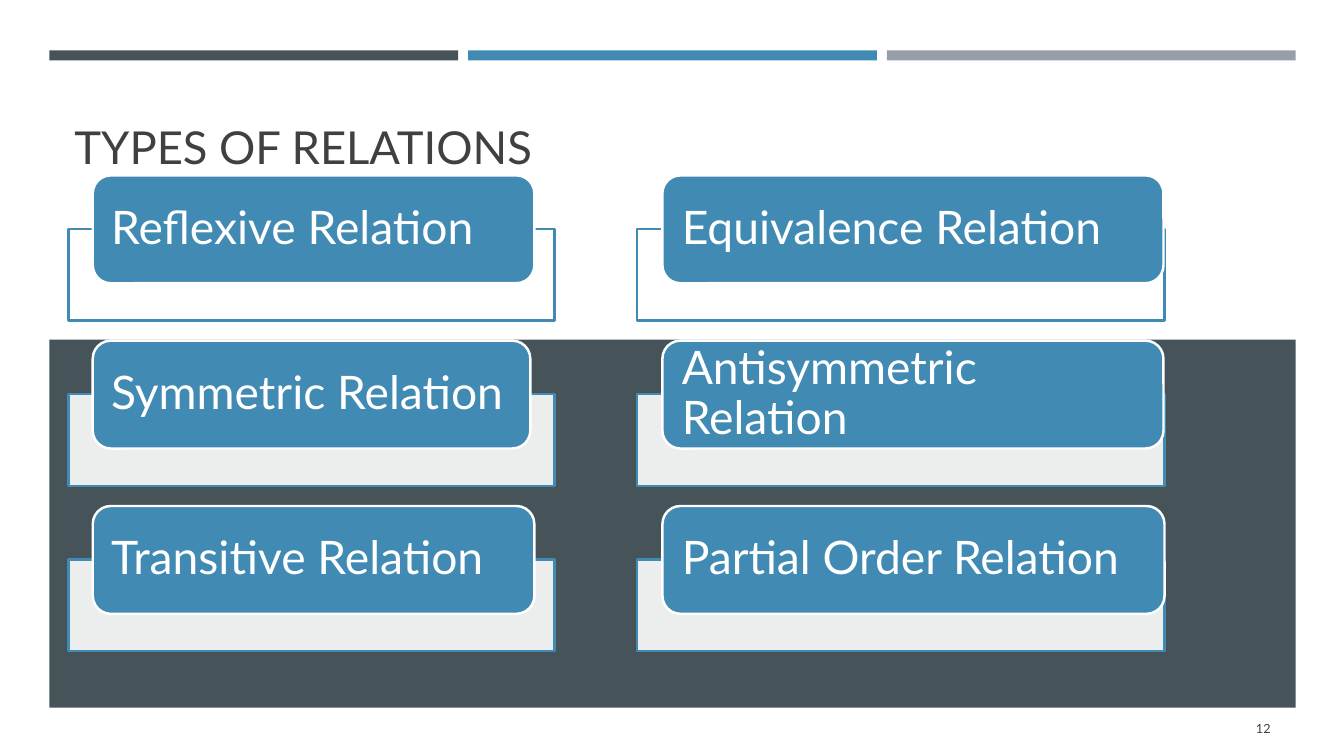
from lxml import etree
from pptx import Presentation
from pptx.dml.color import RGBColor
from pptx.enum.shapes import MSO_SHAPE
from pptx.enum.text import MSO_ANCHOR, PP_ALIGN
from pptx.oxml.ns import qn
from pptx.util import Inches, Pt

RECTANGLE, ROUNDED = MSO_SHAPE.RECTANGLE, MSO_SHAPE.ROUNDED_RECTANGLE
BOTTOM, MIDDLE = MSO_ANCHOR.BOTTOM, MSO_ANCHOR.MIDDLE
LEFT, RIGHT = PP_ALIGN.LEFT, PP_ALIGN.RIGHT

COLORS = {"slate": "465359", "blue": "418AB3", "gray": "969FA7",
          "white": "FFFFFF", "ink": "404040"}
FONT = "Lato"
SLIDE_WIDTH, SLIDE_HEIGHT = 13.33, 7.5
MARGIN, CONTENT_WIDTH = 0.49, 12.36
ROW_TOP, ROW_PITCH = 1.74, 1.64
FRAME_DROP, FRAME_HEIGHT, PILL_HEIGHT = 0.53, 0.91, 1.07

COLUMNS = [
    {"left": 0.68, "width": 4.82, "indent": 0.24, "inset": 0.13,
     "items": [("Reflexive Relation", 4.38), ("Symmetric Relation", 4.34),
               ("Transitive Relation", 4.38)]},
    {"left": 6.32, "width": 5.23, "indent": 0.25, "inset": 0.14,
     "items": [("Equivalence Relation", 4.97), ("Antisymmetric Relation", 4.97),
               ("Partial Order Relation", 4.98)]},
]


def color(name):
    """Return the named palette colour."""
    return RGBColor.from_string(COLORS[name])


def add_box(shapes, kind, box, fill, line=None, alpha=None):
    """Add a flat filled shape with an optional outline and opacity in percent."""
    shape = shapes.add_shape(kind, *map(Inches, box))
    shape.shadow.inherit = False
    shape.fill.solid()
    shape.fill.fore_color.rgb = color(fill)
    if alpha is not None:
        tint = shape._element.spPr.find(qn("a:solidFill"))[0]
        etree.SubElement(tint, qn("a:alpha"), val=str(alpha * 1000))
    if line:
        shape.line.color.rgb = color(line)
        shape.line.width = Pt(1.75)
    else:
        shape.line.fill.background()
    return shape


def write_text(shape, text, size, ink, anchor=MIDDLE, align=LEFT,
               insets=(0.1, 0.05), spacing=None):
    """Write one formatted paragraph into a shape."""
    frame = shape.text_frame
    frame.word_wrap = True
    frame.vertical_anchor = anchor
    frame.margin_left = frame.margin_right = Inches(insets[0])
    frame.margin_top = frame.margin_bottom = Inches(insets[1])
    para = frame.paragraphs[0]
    para.alignment = align
    if spacing:
        para.line_spacing = spacing
    span = para.add_run()
    span.text = text
    span.font.name = FONT
    span.font.size = Pt(size)
    span.font.color.rgb = color(ink)


def add_backdrop(page, left, width):
    """Draw the three top bars and the dark lower panel."""
    gap = 0.1
    bar_width = (width - 2 * gap) / 3
    for index, fill in enumerate(("slate", "blue", "gray")):
        bar_left = left + index * (bar_width + gap)
        add_box(page.shapes, RECTANGLE, (bar_left, 0.5, bar_width, 0.1), fill)
    add_box(page.shapes, RECTANGLE, (left, 3.37, width, 3.65), "slate")


def add_heading(page, box, text):
    """Place the slide title in its box."""
    title = page.shapes.add_textbox(*map(Inches, box))
    write_text(title, text, 32.4, "ink", anchor=BOTTOM)


def add_page_number(page, box, text):
    """Place the page number at the right of its box."""
    number = page.shapes.add_textbox(*map(Inches, box))
    write_text(number, text, 9, "ink", align=RIGHT)


def add_relation_column(page, left, width, indent, inset, items):
    """Stack labelled pills over outlined frames in one group."""
    shapes = page.shapes.add_group_shape().shapes
    for row, (label, pill_width) in enumerate(items):
        top = ROW_TOP + row * ROW_PITCH
        add_box(shapes, RECTANGLE, (left, top + FRAME_DROP, width, FRAME_HEIGHT),
                "white", line="blue", alpha=90)
        pill = add_box(shapes, ROUNDED, (left + indent, top, pill_width, PILL_HEIGHT),
                       "blue", line="white")
        write_text(pill, label, 33, "white", insets=(inset, 0), spacing=0.9)


def main():
    """Build and save the deck."""
    deck = Presentation()
    deck.slide_width, deck.slide_height = Inches(SLIDE_WIDTH), Inches(SLIDE_HEIGHT)
    page = deck.slides.add_slide(deck.slide_layouts[6])
    add_backdrop(page, MARGIN, CONTENT_WIDTH)
    add_heading(page, (0.64, 1.12, 12.02, 0.65), "TYPES OF RELATIONS")
    add_page_number(page, (11.55, 7.03, 1.15, 0.4), "12")
    for column in COLUMNS:
        add_relation_column(page, **column)
    deck.save("out.pptx")


if __name__ == "__main__":
    main()
